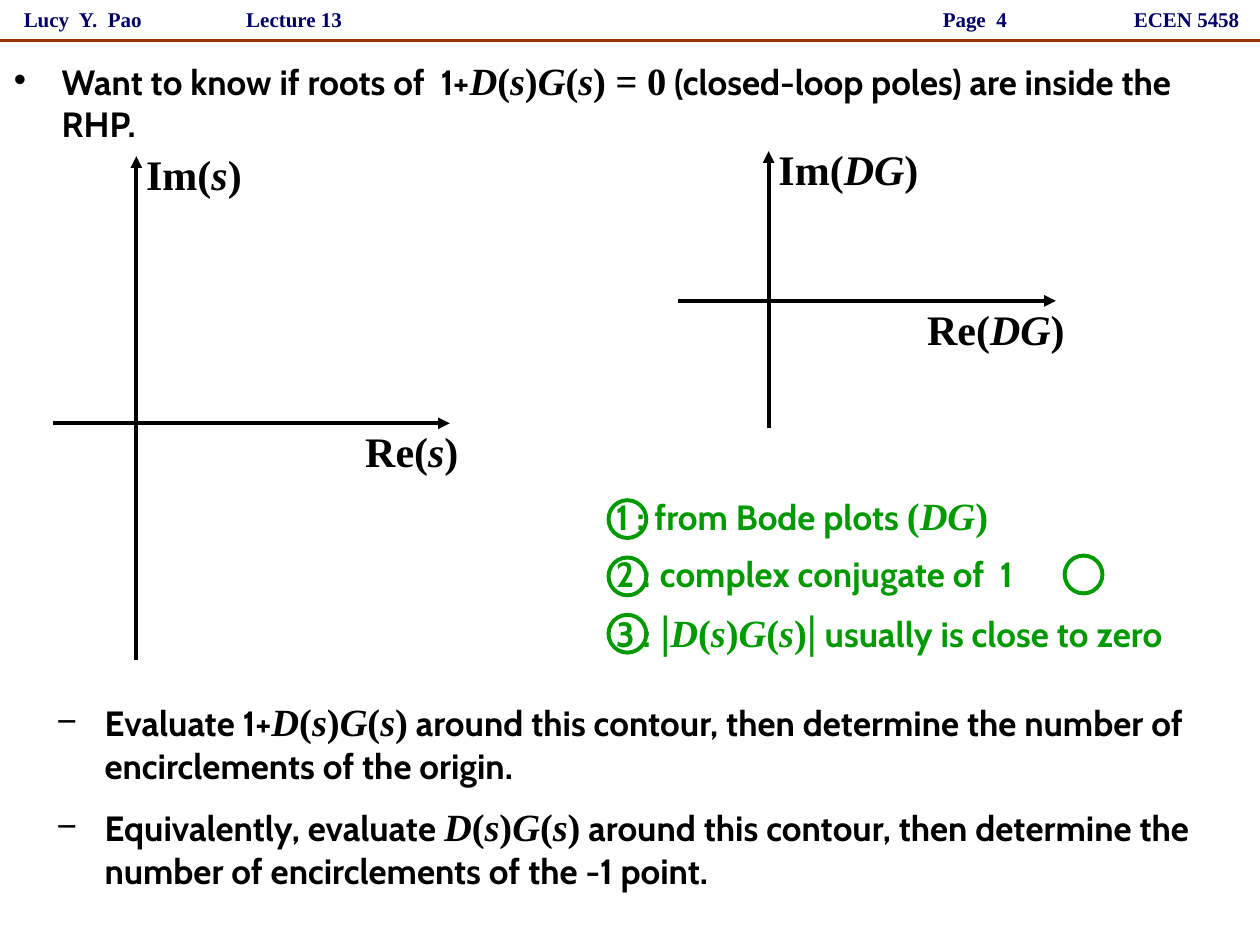
from itertools import groupby

from lxml import etree
from pptx import Presentation
from pptx import util as u
from pptx.dml.color import RGBColor
from pptx.enum import shapes, text
from pptx.oxml.ns import qn

BLACK = RGBColor(0x00, 0x00, 0x00)
NAVY = RGBColor(0x00, 0x00, 0x66)
RUST = RGBColor(0x99, 0x33, 0x00)
GREEN = RGBColor(0x00, 0x99, 0x00)
SANS = "Cabin"
SERIF = "Times New Roman"
INSET_X, INSET_Y = 0.1, 0.05


def add_run(paragraph, words, size, color=BLACK, font=SANS, italic=False):
    """Append one bold run to a paragraph."""
    run = paragraph.add_run()
    run.text = words
    run.font.size = u.Pt(size)
    run.font.name = font
    run.font.bold = True
    run.font.italic = italic
    run.font.color.rgb = color


def add_math(paragraph, formula, color=BLACK, size=22):
    """Append a formula whose letters are italic and whose signs are upright."""
    for is_letter, characters in groupby(formula, str.isalpha):
        add_run(paragraph, "".join(characters), size, color, SERIF, is_letter)


def format_frame(frame, wrap=True, anchor=text.MSO_ANCHOR.TOP):
    """Give a text frame the slide's insets, wrapping and anchor."""
    frame.auto_size = text.MSO_AUTO_SIZE.NONE
    frame.word_wrap = wrap
    frame.vertical_anchor = anchor
    frame.margin_left = frame.margin_right = u.Inches(INSET_X)
    frame.margin_top = frame.margin_bottom = u.Inches(INSET_Y)


def add_text_box(slide, box, **options):
    """Add a formatted text box and return its text frame."""
    frame = slide.shapes.add_textbox(*map(u.Inches, box)).text_frame
    format_frame(frame, **options)
    return frame


def add_line(slide, start, end, color, width, arrow=False):
    """Add a straight line, with an arrowhead at its end if wanted."""
    connector = slide.shapes.add_connector(
        shapes.MSO_CONNECTOR.STRAIGHT, *map(u.Inches, (*start, *end)))
    connector.line.color.rgb = color
    connector.line.width = u.Pt(width)
    if arrow:
        etree.SubElement(connector.line._get_or_add_ln(), qn("a:tailEnd"), type="triangle")
    etree.SubElement(connector._element.spPr, qn("a:effectLst"))


def add_header(slide, box):
    """Place the running heads and the rule below them."""
    left, top, width, height = box
    align = text.PP_ALIGN
    heads = [
        ("Lucy  Y.  Pao", 0.009, 0.142, align.LEFT),
        ("Lecture 13", 0.165, 0.137, align.CENTER),
        ("Page  4", 0.645, 0.164, align.RIGHT),
        ("ECEN 5458", 0.89, 0.105, align.LEFT),
    ]
    for words, start, share, alignment in heads:
        frame = add_text_box(slide, (left + start * width, top, share * width, 0.3),
                             anchor=text.MSO_ANCHOR.MIDDLE)
        frame.paragraphs[0].alignment = alignment
        add_run(frame.paragraphs[0], words, 12, NAVY, SERIF)
    bottom = top + height
    add_line(slide, (left, bottom), (left + width, bottom), RUST, 1.5)


def add_list(placeholder, box, mark, items, gap=0):
    """Fill a body placeholder with items of text, formula and text."""
    placeholder.left, placeholder.top, placeholder.width, placeholder.height = map(u.Inches, box)
    frame = placeholder.text_frame
    format_frame(frame)
    for index, (before, formula, after) in enumerate(items):
        paragraph = frame.add_paragraph() if index else frame.paragraphs[0]
        paragraph.space_before = u.Pt(gap if index else 0)
        properties = paragraph._p.get_or_add_pPr()
        properties.set("marL", str(u.Inches(0.38)))
        properties.set("indent", str(-u.Inches(0.38)))
        bullet_color = etree.SubElement(properties, qn("a:buClr"))
        etree.SubElement(bullet_color, qn("a:srgbClr"), val=str(BLACK))
        etree.SubElement(properties, qn("a:buChar"), char=mark)
        add_run(paragraph, before, 20)
        add_math(paragraph, formula)
        add_run(paragraph, after, 20)


def add_plane(slide, box, origin, variable, label_width):
    """Draw a complex plane with its origin at a share of the box."""
    left, top, width, height = box
    right, bottom = left + width, top + height
    x, y = left + origin[0] * width, top + origin[1] * height
    add_line(slide, (x, bottom), (x, top), BLACK, 2.25, arrow=True)
    add_line(slide, (left, y), (right, y), BLACK, 2.25, arrow=True)
    labels = [("Im", x - 0.02, top - 0.11), ("Re", right + 0.18 - label_width, y - 0.03)]
    for part, label_left, label_top in labels:
        frame = add_text_box(slide, (label_left, label_top, label_width, 0.5), wrap=False)
        paragraph = frame.paragraphs[0]
        add_run(paragraph, part + "(", 24, font=SERIF)
        add_run(paragraph, variable, 24, font=SERIF, italic=True)
        add_run(paragraph, ")", 24, font=SERIF)


def add_ring(slide, left, top):
    """Draw a ring for a number to stand in."""
    ring = slide.shapes.add_shape(
        shapes.MSO_SHAPE.OVAL, *map(u.Inches, (left, top, 0.3, 0.3)))
    ring.shadow.inherit = False
    ring.fill.background()
    ring.line.color.rgb = GREEN
    ring.line.width = u.Pt(2.25)


def add_legend(slide, box):
    """Place the numbered notes on the contour and their rings."""
    left, top, width, height = box
    frame = add_text_box(slide, box)
    first = frame.paragraphs[0]
    second, third = frame.add_paragraph(), frame.add_paragraph()
    for number, paragraph in enumerate((first, second, third), 1):
        paragraph.space_before = u.Pt(3.6 if number > 1 else 0)
        add_run(paragraph, f"{number} :", 20, GREEN)
        add_run(paragraph, " ", 24, GREEN)
        add_ring(slide, left + 0.04, top + 0.14 + (number - 1) * 0.455)
    add_run(first, "from Bode plots ", 20, GREEN)
    add_math(first, "(DG)", GREEN)
    add_run(second, "complex conjugate of  1", 20, GREEN)
    add_ring(slide, left + 3.66, top + 0.58)
    add_math(third, "|", GREEN, 26)
    add_math(third, "D(s)G(s)", GREEN)
    add_math(third, "|", GREEN, 26)
    add_run(third, " usually is close to zero", 20, GREEN)


def main():
    """Build and save the slide."""
    presentation = Presentation()
    presentation.slide_width, presentation.slide_height = u.Inches(10), u.Inches(7.5)
    slide = presentation.slides.add_slide(presentation.slide_layouts[3])
    title, question, steps = slide.placeholders
    title._element.getparent().remove(title._element)

    add_header(slide, (0, 0, 10, 0.32))
    add_list(question, (0.01, 0.4, 9.53, 0.84), "•", [
        ("Want to know if roots of  1+", "D(s)G(s) = 0",
         " (closed-loop poles) are inside the RHP."),
    ])
    add_plane(slide, (0.42, 1.24, 3.15, 4), (0.21, 0.53), "s", 0.95)
    add_plane(slide, (5.38, 1.2, 3, 2.2), (0.24, 0.54), "DG", 1.3)
    add_list(steps, (0.35, 5.49, 9.26, 1.62), "−", [
        ("Evaluate 1+", "D(s)G(s)",
         " around this contour, then determine the number of encirclements of the origin."),
        ("Equivalently, evaluate ", "D(s)G(s)",
         " around this contour, then determine the number of encirclements of the -1 point."),
    ], gap=9.7)
    add_legend(slide, (4.79, 3.83, 5.43, 1.44))
    presentation.save("out.pptx")


if __name__ == "__main__":
    main()
